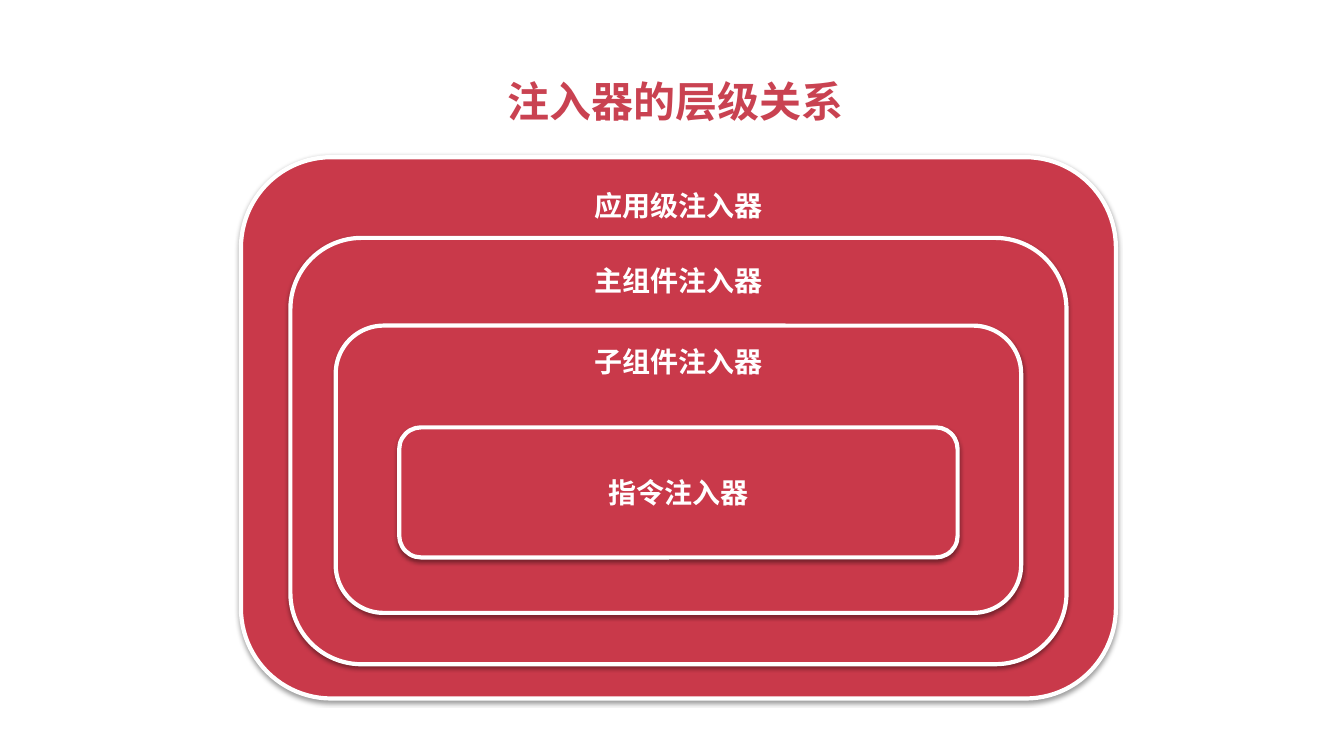
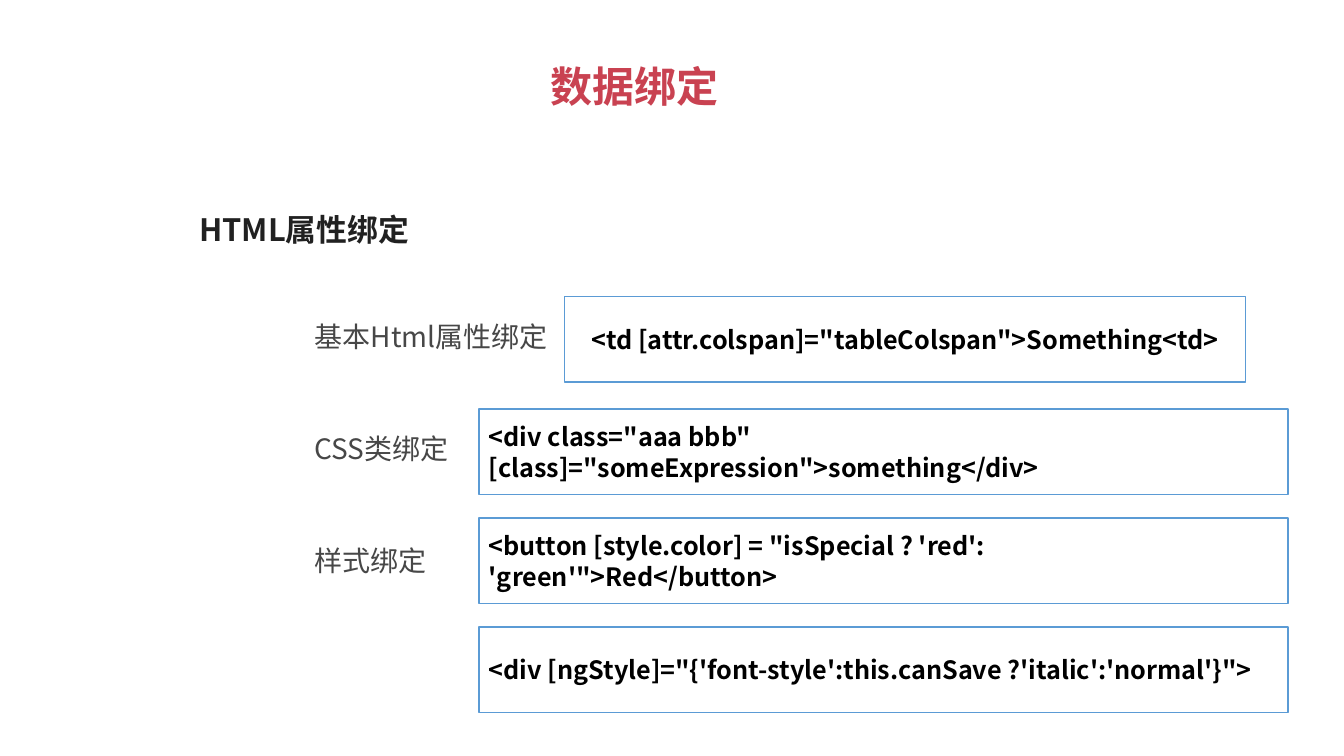
from dataclasses import dataclass

from lxml import etree
from pptx import Presentation
from pptx.dml.color import RGBColor
from pptx.enum.shapes import MSO_SHAPE
from pptx.enum.text import MSO_ANCHOR, MSO_AUTO_SIZE, PP_ALIGN
from pptx.oxml.ns import qn
from pptx.util import Inches, Pt

LEFT, CENTER = PP_ALIGN.LEFT, PP_ALIGN.CENTER
TOP, MIDDLE = MSO_ANCHOR.TOP, MSO_ANCHOR.MIDDLE
NO_AUTOFIT = MSO_AUTO_SIZE.NONE
RECT, ROUND = MSO_SHAPE.RECTANGLE, MSO_SHAPE.ROUNDED_RECTANGLE
TITLE_AND_CONTENT, TITLE_ONLY = 1, 5


@dataclass(frozen=True)
class Theme:
    font: str = "Noto Sans CJK SC"
    title: str = "C94251"
    ring: str = "C9394A"
    white: str = "FFFFFF"
    black: str = "000000"
    heading: str = "212121"
    label: str = "474747"
    code_line: str = "5B9BD5"
    title_size: int = 30
    heading_size: int = 22
    text_size: int = 20
    code_size: int = 18
    leading: float = 1.2


class Deck:
    """Holds the style and the current slide; lengths are percent of the slide."""

    def __init__(self, theme):
        self.theme = theme
        self.prs = Presentation()
        self.prs.slide_width, self.prs.slide_height = Inches(13.33), Inches(7.5)
        self.s = None

    def box(self, left, top, width, height):
        w, h = self.prs.slide_width / 100, self.prs.slide_height / 100
        return [round(v) for v in (left * w, top * h, width * w, height * h)]

    def place(self, sp, area):
        sp.left, sp.top, sp.width, sp.height = self.box(*area)

    def set_text(self, sp, lines, size, color, bold=True, align=LEFT,
                 anchor=MIDDLE, gap=0):
        tf = sp.text_frame
        frame = {"word_wrap": True, "auto_size": NO_AUTOFIT,
                 "vertical_anchor": anchor}
        para = {"alignment": align, "space_before": Pt(0), "space_after": Pt(gap),
                "line_spacing": Pt(size * self.theme.leading)}
        font = {"name": self.theme.font, "size": Pt(size), "bold": bold}
        for name, value in frame.items():
            setattr(tf, name, value)
        for i, line in enumerate(lines):
            p = tf.add_paragraph() if i else tf.paragraphs[0]
            for name, value in para.items():
                setattr(p, name, value)
            r = p.add_run()
            r.text = line
            for name, value in font.items():
                setattr(r.font, name, value)
            r.font.color.rgb = RGBColor.from_string(color)
            # East Asian text takes its own typeface
            ea = etree.SubElement(r._r.get_or_add_rPr(), qn("a:ea"))
            ea.set("typeface", self.theme.font)

    def slide(self, layout, title, center, top):
        self.s = self.prs.slides.add_slide(self.prs.slide_layouts[layout])
        sp = self.s.shapes.title
        self.place(sp, (center - 20, top, 40, 8.13))
        self.set_text(sp, [title], self.theme.title_size, self.theme.title,
                      align=CENTER)

    def shape(self, kind, area, fill, line, width):
        sp = self.s.shapes.add_shape(kind, *self.box(*area))
        sp.shadow.inherit = False
        sp.fill.solid()
        sp.fill.fore_color.rgb = RGBColor.from_string(fill)
        sp.line.color.rgb = RGBColor.from_string(line)
        sp.line.width = Pt(width)
        return sp

    def ring(self, text, center, top, width, height, anchor):
        t = self.theme
        sp = self.shape(ROUND, (center - width / 2, top, width, height),
                        t.ring, t.white, 3)
        sp.adjustments[0] = 0.167
        self.drop_shadow(sp)
        self.set_text(sp, [text], t.text_size, t.white, align=CENTER, anchor=anchor)

    def drop_shadow(self, sp):
        effects = sp._element.spPr.find(qn("a:effectLst"))
        shadow = etree.SubElement(effects, qn("a:outerShdw"), blurRad=str(Pt(3.1)),
                                  dist=str(Pt(1.6)), dir="5400000", rotWithShape="0")
        color = etree.SubElement(shadow, qn("a:srgbClr"), val=self.theme.black)
        etree.SubElement(color, qn("a:alpha"), val="38000")

    def heading(self, text, area):
        sp = self.s.shapes.add_textbox(*self.box(*area))
        self.set_text(sp, [text], self.theme.heading_size, self.theme.heading)

    def labels(self, lines, area, gap):
        sp = self.s.placeholders[1]
        self.place(sp, area)
        self.set_text(sp, lines, self.theme.text_size, self.theme.label,
                      bold=False, anchor=TOP, gap=gap)
        for p in sp.text_frame.paragraphs:
            pPr = p._p.get_or_add_pPr()
            pPr.set("marL", "0")
            pPr.set("indent", "0")
            etree.SubElement(pPr, qn("a:buNone"))

    def code(self, text, left, top, width, align=LEFT):
        t = self.theme
        sp = self.shape(RECT, (left, top, width, 11.33), t.white, t.code_line, 1)
        self.set_text(sp, [text], t.code_size, t.black, align=align)


def injector_slide(deck):
    deck.slide(TITLE_ONLY, "注入器的层级关系", 50.3, 9.2)
    # Nested rings, outermost first: text, top, width, height, anchor
    for text, top, width, height, anchor in (
        ("应用级注入器", 20.8, 65.1, 71.6, TOP),
        ("主组件注入器", 31.47, 57.75, 56.4, TOP),
        ("子组件注入器", 43.07, 51, 38, TOP),
        ("指令注入器", 56.53, 41.55, 17.2, MIDDLE),
    ):
        deck.ring(text, 50.48, top, width, height, anchor)


def binding_slide(deck):
    deck.slide(TITLE_AND_CONTENT, "数据绑定", 47.2, 7.33)
    deck.heading("HTML属性绑定", (14.1, 26.53, 40, 7.47))
    deck.labels(["基本Html属性绑定", "CSS类绑定", "样式绑定"],
                (22.65, 41.6, 25, 36), gap=56)
    # Code samples: one narrow box, then an evenly spaced stack
    deck.code('<td [attr.colspan]="tableColspan">Something<td>',
              42, 39.2, 50.7, CENTER)
    for i, text in enumerate((
        '<div class="aaa bbb" [class]="someExpression">something</div>',
        "<button [style.color] = \"isSpecial ? 'red': 'green'\">Red</button>",
        "<div [ngStyle]=\"{'font-style':this.canSave ?'italic':'normal'}\">",
    )):
        deck.code(text, 35.63, 54.13 + 14.4 * i, 60.22)


def main():
    deck = Deck(Theme())
    injector_slide(deck)
    binding_slide(deck)
    deck.prs.save("out.pptx")


if __name__ == "__main__":
    main()
